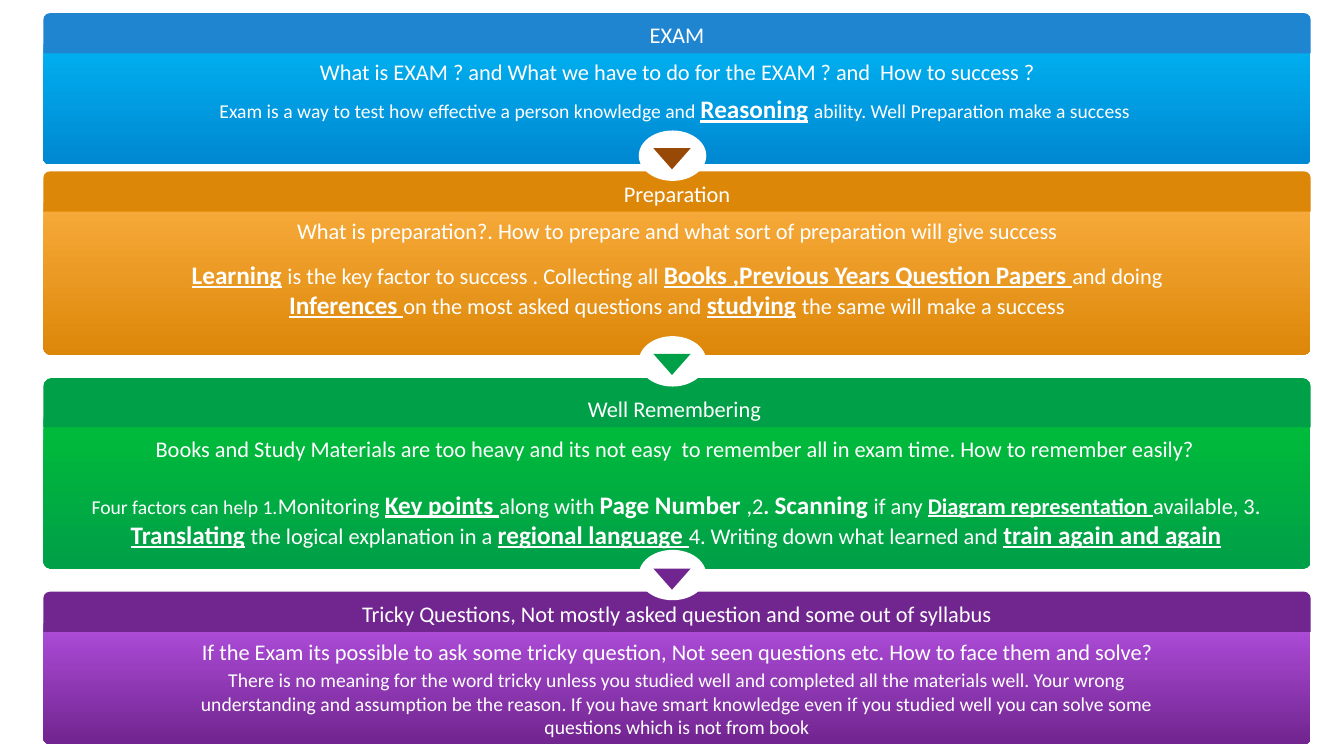
from typing import NamedTuple

from pptx import Presentation
from pptx.dml.color import RGBColor
from pptx.enum import shapes, text
from pptx.util import Emu, Pt

PX = 9144
WHITE = "FFFFFF"
FONT = "Calibri"
BAND_LEFT, BAND_WIDTH = 43, 1257


class Box(NamedTuple):
    left: int
    top: int
    width: int
    height: int


class Run(NamedTuple):
    words: str
    size: int = 16
    bold: bool = False
    underline: bool = False


class Step(NamedTuple):
    title: str
    title_top: int
    title_height: int
    title_color: str
    title_anchor: text.MSO_ANCHOR
    body_top: int
    body_height: int
    gradient: tuple[str, str]
    question: str
    question_top: int
    question_height: int
    answer: list[Run]
    answer_box: Box


class Arrow(NamedTuple):
    disc_top: int
    triangle_top: int
    color: str


def key(words: str, size: int = 18) -> Run:
    """Return an emphasised run."""
    return Run(words, size, True, True)


MIDDLE, BOTTOM = text.MSO_ANCHOR.MIDDLE, text.MSO_ANCHOR.BOTTOM

STEPS = [
    Step("EXAM", 13, 40, "1F85D1", MIDDLE, 44, 119, ("00B0F0", "0088D2"),
         "What is EXAM ? and What we have to do for the EXAM ? and  How to success ?",
         53, 37,
         [Run("Exam is a way to test how effective a person knowledge and ", 14),
          key("Reasoning"), Run(" ", 18),
          Run("ability. Well Preparation make a success ", 14)],
         Box(169, 88, 1005, 40)),
    Step("Preparation", 170, 40, "DD8709", BOTTOM, 201, 151, ("F7AB3B", "DD8709"),
         "What is preparation?. How to prepare and what sort of preparation "
         "will give success",
         211, 37,
         [key("Learning"), Run(" ", 18, True),
          Run("is the key factor to success . Collecting all "),
          key("Books ,Previous Years Question Papers "), Run("and doing "),
          key("Inferences "), Run("on the most asked questions and "),
          key("studying"), Run(" ", 18, True),
          Run("the same will make a success")],
         Box(169, 252, 1005, 71)),
    Step("Well Remembering ", 375, 49, "00A048", BOTTOM, 415, 149, ("00BC3A", "00A048"),
         "Books and Study Materials are too heavy and its not easy  to remember "
         "all in exam time. How to remember easily? ",
         427, 47,
         [Run("Four factors can help 1.", 14), Run("Monitoring "), key("Key points "),
          Run("along with "), Run("Page Number ", 18, True), Run(",2"),
          Run(". ", 16, True), Run("Scanning ", 18, True), Run("if any "),
          key("Diagram representation ", 16), Run("available, 3. "),
          key("Translating"), Run(" ", 18), Run("the logical explanation in a "),
          key("regional language "), Run("4. Writing down what learned and "),
          key("train again and again")],
         Box(68, 480, 1205, 71)),
    Step("Tricky Questions, Not mostly asked question and some out of syllabus",
         587, 40, "71258F", BOTTOM, 618, 120, ("AF4DDB", "71258F"),
         "If the Exam its possible to ask some tricky question, Not seen questions "
         "etc. How to face them and solve?",
         628, 37,
         [Run("There is no meaning for the word tricky unless you studied well and "
              "completed all the materials well. Your wrong understanding and "
              "assumption be the reason. If you have smart knowledge even if you "
              "studied well you can solve some questions which is not from book", 14)],
         Box(169, 658, 1005, 81)),
]

ARROWS = [
    Arrow(121, 147, "984807"),
    Arrow(325, 351, "00A048"),
    Arrow(537, 564, "71258F"),
]


def rgb(color: str) -> RGBColor:
    """Turn a hex string into a colour."""
    return RGBColor.from_string(color)


def emu(box: Box) -> list[Emu]:
    """Scale a box from px to EMU."""
    return [Emu(side * PX) for side in box]


def add_preset(slide, kind: shapes.MSO_SHAPE, box: Box, *colors: str, rotation: int = 0):
    """Draw a borderless shape with a solid or top-to-bottom gradient fill."""
    shape = slide.shapes.add_shape(kind, *emu(box))
    shape.shadow.inherit = False
    shape.line.fill.background()
    shape.rotation = rotation
    if len(colors) == 1:
        shape.fill.solid()
        shape.fill.fore_color.rgb = rgb(colors[0])
    else:
        shape.fill.gradient()
        shape.fill.gradient_angle = 270
        for stop, color in zip(shape.fill.gradient_stops, colors):
            stop.color.rgb = rgb(color)
    return shape


def write(frame, runs: list[Run]) -> None:
    """Fill a text frame with one centred white paragraph."""
    frame.word_wrap = True
    paragraph = frame.paragraphs[0]
    paragraph.alignment = text.PP_ALIGN.CENTER
    paragraph.font.name = FONT
    paragraph.font.color.rgb = rgb(WHITE)
    if len(runs) == 1:
        paragraph.font.size = Pt(runs[0].size)
    for run in runs:
        piece = paragraph.add_run()
        piece.text = run.words
        if len(runs) > 1:
            piece.font.size = Pt(run.size)
            piece.font.bold = run.bold
            piece.font.underline = run.underline


def add_text(slide, box: Box, runs: list[Run]) -> None:
    """Add a text box that grows with its words."""
    frame = slide.shapes.add_textbox(*emu(box)).text_frame
    write(frame, runs)
    frame.auto_size = text.MSO_AUTO_SIZE.SHAPE_TO_FIT_TEXT


def add_step(slide, step: Step) -> None:
    """Draw one band with its title, question and answer."""
    band = shapes.MSO_SHAPE.ROUND_2_SAME_RECTANGLE
    body = add_preset(slide, band, Box(BAND_LEFT, step.body_top, BAND_WIDTH, step.body_height),
                      *step.gradient)
    body.adjustments[0], body.adjustments[1] = 0, 0.05
    add_text(slide, Box(95, step.question_top, 1154, step.question_height),
             [Run(step.question)])
    add_text(slide, step.answer_box, step.answer)
    title = add_preset(slide, band, Box(BAND_LEFT, step.title_top, BAND_WIDTH, step.title_height),
                       step.title_color)
    write(title.text_frame, [Run(step.title)])
    title.text_frame.vertical_anchor = step.title_anchor


def add_arrow(slide, arrow: Arrow) -> None:
    """Draw a downward triangle on a white disc."""
    add_preset(slide, shapes.MSO_SHAPE.OVAL, Box(642, arrow.disc_top, 50, 67),
               WHITE, rotation=90)
    add_preset(slide, shapes.MSO_SHAPE.ISOSCELES_TRIANGLE,
               Box(648, arrow.triangle_top, 37, 21), arrow.color, rotation=180)


def main() -> None:
    """Build the slide and save it."""
    deck = Presentation()
    deck.slide_width, deck.slide_height = Emu(1333 * PX), Emu(750 * PX)
    slide = deck.slides.add_slide(deck.slide_layouts[6])
    for step in STEPS:
        add_step(slide, step)
    for arrow in ARROWS:
        add_arrow(slide, arrow)
    deck.save("out.pptx")


if __name__ == "__main__":
    main()
